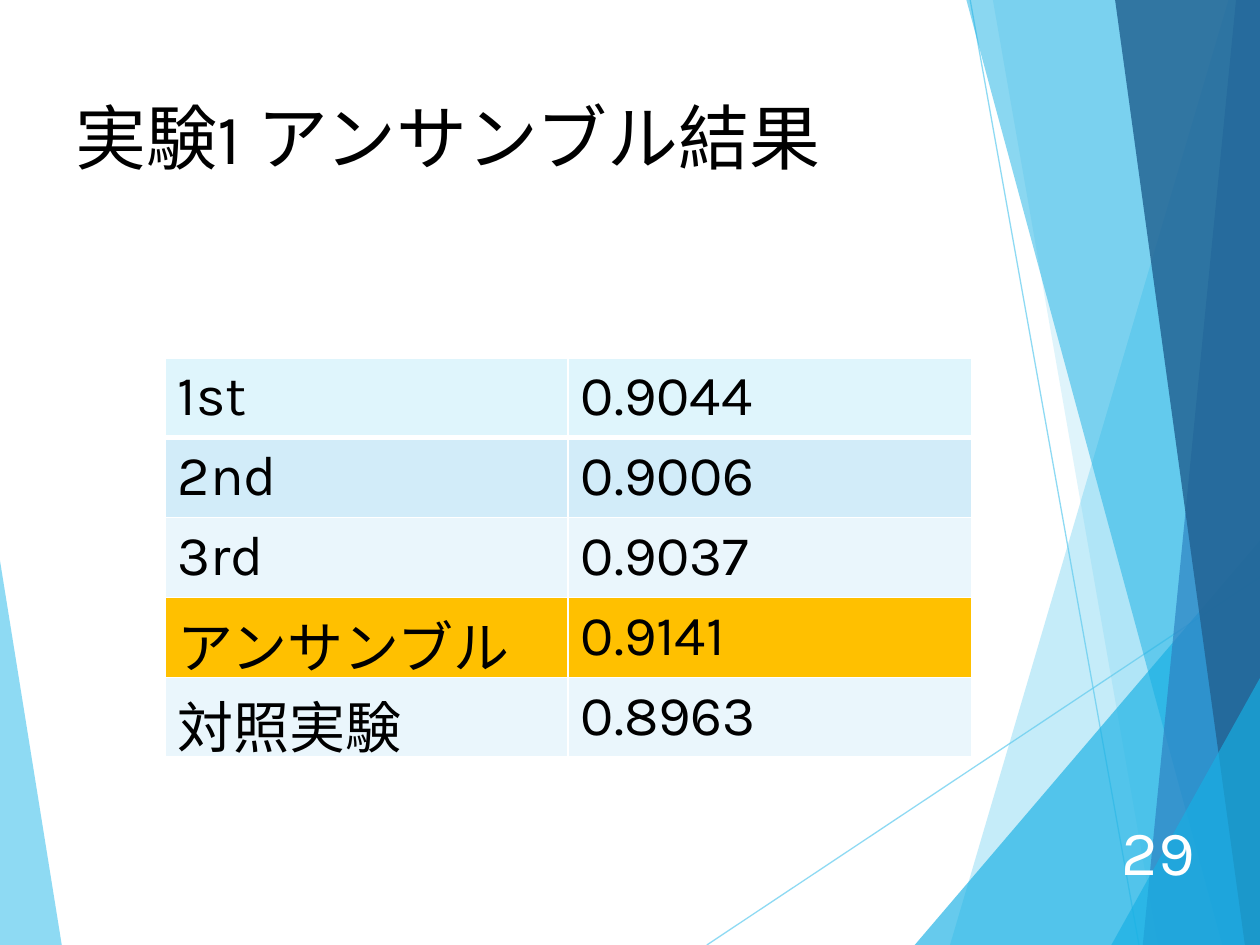
from pptx import Presentation
from pptx.util import Inches, Pt
from pptx.dml.color import RGBColor
from pptx.enum.shapes import MSO_CONNECTOR
from pptx.enum.text import MSO_ANCHOR, PP_ALIGN
from pptx.oxml import parse_xml
from pptx.oxml.ns import qn, nsdecls
from lxml.etree import SubElement


def paint(fill, tone, alpha=100):
    fill.solid()
    fill.fore_color.rgb = RGBColor.from_string(tone)
    if alpha < 100:
        node = fill._xPr.find(qn("a:solidFill"))[0]
        SubElement(node, qn("a:alpha"), val=str(alpha * 1000))


def style(para, text, size, tone):
    para.text = text
    para.font.name = "Karla"
    para.font.size = Pt(size)
    paint(para.font.fill, tone)


deck = Presentation()
deck.slide_width, deck.slide_height = Inches(10), Inches(7.5)
slide = deck.slides.add_slide(deck.slide_layouts[6])
shapes = slide.shapes

facets = [
    ("5FCBEF", 70, [(0, 4.45), (0.49, 7.5), (0, 7.5)]),
    ("5FCBEF", 36, [(9.75, 0), (7.54, 7.5), (10, 7.5), (10, 0)]),
    ("5FCBEF", 20, [(7.88, 0), (9.19, 7.5), (10, 7.5), (10, 0)]),
    ("17B0E4", 66, [(7.26, 7.5), (10, 4.29), (10, 7.5)]),
    ("17B0E4", 50, [(7.67, 0), (9.7, 7.5), (10, 7.5), (10, 0)]),
    ("2E83C3", 70, [(9.81, 0), (9.07, 7.5), (10, 7.5), (10, 0)]),
    ("226292", 82, [(8.85, 0), (9.88, 7.5), (10, 7.5), (10, 0)]),
    ("17B0E4", 66, [(8.82, 7.5), (10, 5.38), (10, 7.5)]),
]
rays = [(5.61, 7.5, 10, 4.58), (7.7, 0, 9.04, 7.5)]

for rank, (tone, alpha, points) in enumerate(facets):
    spots = [(Inches(x), Inches(y)) for x, y in points]
    pen = shapes.build_freeform(*spots[0])
    pen.add_line_segments(spots[1:], close=True)
    facet = pen.convert_to_shape()
    facet.shadow.inherit = False
    facet.line.fill.background()
    paint(facet.fill, tone, alpha)
    if rank == 0:
        for ends in rays:
            ray = shapes.add_connector(MSO_CONNECTOR.STRAIGHT, *map(Inches, ends))
            ray.line.width = Pt(0.75)
            paint(ray.line.fill, "5FCBEF", 70)
            SubElement(ray._element.spPr, qn("a:effectLst"))

labels = [
    ("29", (8.74, 6.48, 0.84, 0.53), 36, "FFFFFF", PP_ALIGN.RIGHT, MSO_ANCHOR.MIDDLE),
    ("実験1 アンサンブル結果", (0.5, 0.69, 6.98, 0.78), 40.5, "000000", PP_ALIGN.LEFT, MSO_ANCHOR.TOP),
]
for text, place, size, tone, align, anchor in labels:
    frame = shapes.add_textbox(*map(Inches, place)).text_frame
    frame.word_wrap = True
    frame.vertical_anchor = anchor
    style(frame.paragraphs[0], text, size, tone)
    frame.paragraphs[0].alignment = align

scores = [
    ("1st", "0.9044", "DFF5FC"),
    ("2nd", "0.9006", "D2ECF9"),
    ("3rd", "0.9037", "EAF6FC"),
    ("アンサンブル", "0.9141", "FFC000"),
    ("対照実験", "0.8963", "EAF6FC"),
]
place = (1.31, 2.84, 6.4, 3.15)
table = shapes.add_table(len(scores), 2, *map(Inches, place)).table
table.first_row = table.horz_banding = False
for row, (*texts, tone) in enumerate(scores):
    table.rows[row].height = Inches(0.63)
    for col, text in enumerate(texts):
        cell = table.cell(row, col)
        style(cell.text_frame.paragraphs[0], text, 32, "000000")
        paint(cell.fill, tone)
        thick = {"T": row == 1, "B": row == 0}
        for rank, side in enumerate("LRTB"):
            width = Pt(3 if thick.get(side) else 1)
            edge = parse_xml(f'<a:ln{side} {nsdecls("a")} w="{width}"><a:solidFill>'
                             f'<a:srgbClr val="FFFFFF"/></a:solidFill></a:ln{side}>')
            cell._tc.get_or_add_tcPr().insert(rank, edge)

deck.save("out.pptx")
